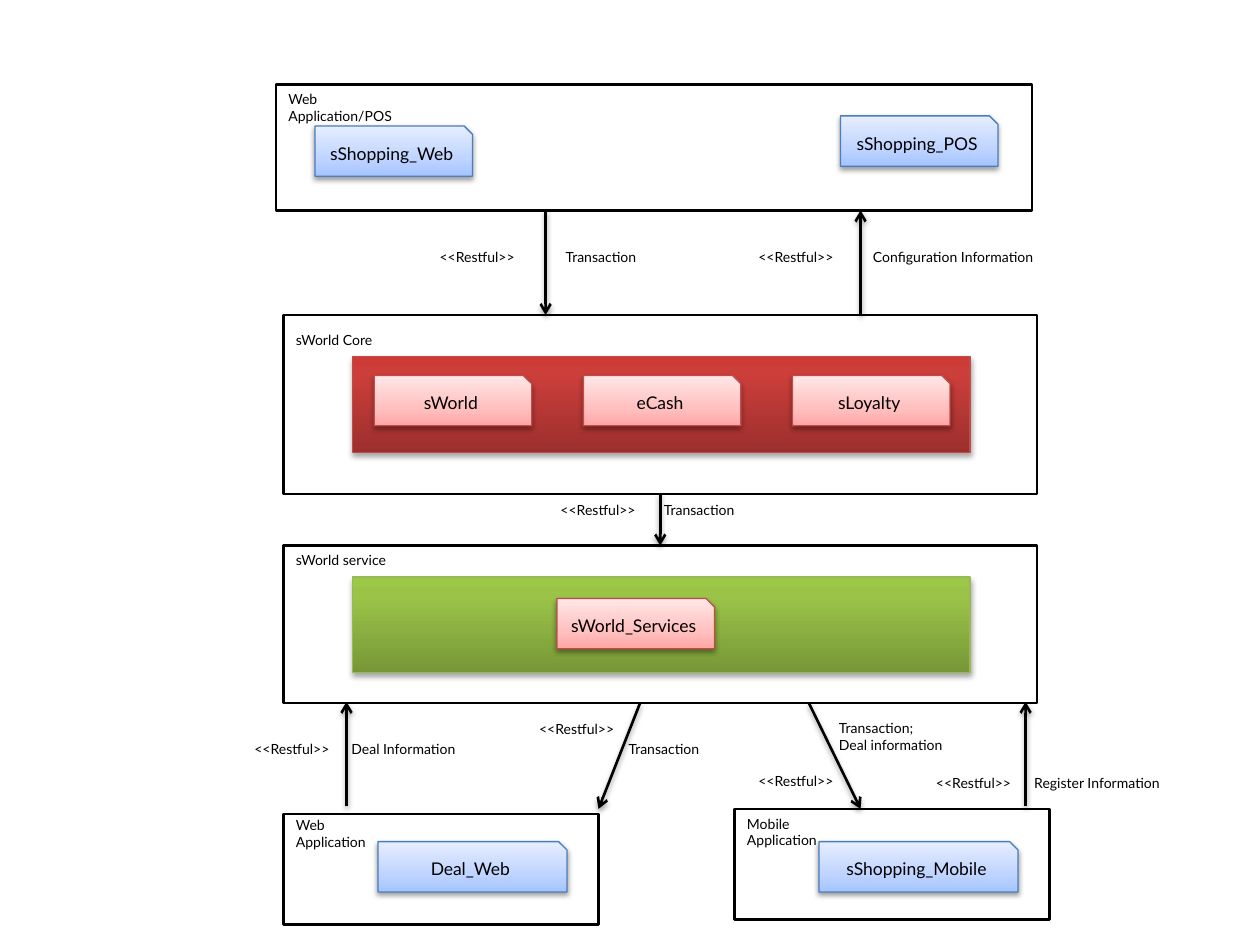
from lxml import etree
from pptx import Presentation
from pptx.dml.color import RGBColor
from pptx.enum.shapes import MSO_CONNECTOR, MSO_SHAPE
from pptx.enum.text import MSO_ANCHOR, PP_ALIGN
from pptx.oxml.ns import qn
from pptx.util import Inches, Pt

COLORS = {"white": "FFFFFF", "black": "000000",
          "blue_line": "4B7EBC", "red_line": "BF4C48", "green_line": "98B955"}
# Gradient stops run from the bottom edge to the top edge: (percent, colour).
STYLES = {
    "blue card": ([(0, "A4C4FF"), (35, "BFD4FF"), (100, "E6EEFF")], "blue_line"),
    "red card": ([(0, "FFA6A5"), (35, "FFC0BF"), (100, "FFE7E7")], "red_line"),
    "red bar": ([(0, "9C2F2D"), (80, "CB3E3A"), (100, "CE3B37")], "red_line"),
    "green bar": ([(0, "779737"), (80, "9BC348"), (100, "9DC746")], "green_line"),
}
FONT = "Lato"
RESTFUL = "<<Restful>>"
CARD_W, CARD_H = 1.25, 0.4
BAR = (0.55, 4.9, 0.76)  # left offset in its tier, width, height
LABEL_H = 0.24


def rgb(name):
    return RGBColor.from_string(COLORS[name])


def add_child(parent, tag, **attributes):
    return etree.SubElement(parent, qn(tag), attributes)


def add_shadow(shape, alpha=38, distance=1.6):
    effects = add_child(shape._element.spPr, "a:effectLst")
    outer = add_child(effects, "a:outerShdw", blurRad=str(Pt(3.1)),
                      dist=str(Pt(distance)), dir="5400000", rotWithShape="0")
    color = add_child(outer, "a:srgbClr", val=COLORS["black"])
    add_child(color, "a:alpha", val=str(alpha * 1000))


def fill_gradient(shape, stops):
    shape.fill.solid()
    solid = shape._element.spPr.find(qn("a:solidFill"))
    gradient = etree.Element(qn("a:gradFill"), rotWithShape="1")
    stop_list = add_child(gradient, "a:gsLst")
    for percent, color in stops:
        stop = add_child(stop_list, "a:gs", pos=str(percent * 1000))
        add_child(stop, "a:srgbClr", val=color)
    add_child(gradient, "a:lin", ang="16200000", scaled="0")
    solid.getparent().replace(solid, gradient)


def add_text(paragraph, text, size):
    run = paragraph.add_run()
    run.text = text
    run.font.name, run.font.size = FONT, Pt(size)
    run.font.color.rgb = rgb("black")


def add_label(slide, left, top, width, *lines):
    box = slide.shapes.add_textbox(Inches(left), Inches(top), Inches(width), Inches(LABEL_H))
    frame = box.text_frame
    frame.word_wrap = True
    for index, line in enumerate(lines):
        paragraph = frame.add_paragraph() if index else frame.paragraphs[0]
        add_text(paragraph, line, 8)


def add_box(slide, preset, box, line, weight):
    shape = slide.shapes.add_shape(preset, *map(Inches, box))
    shape.line.color.rgb = rgb(line)
    shape.line.width = Pt(weight)
    return shape


def add_card(slide, box, text, style):
    stops, line = STYLES[style]
    card = add_box(slide, MSO_SHAPE.SNIP_1_RECTANGLE, box, line, 0.75)
    fill_gradient(card, stops)
    add_shadow(card)
    card.text_frame.vertical_anchor = MSO_ANCHOR.MIDDLE
    paragraph = card.text_frame.paragraphs[0]
    paragraph.alignment = PP_ALIGN.CENTER
    add_text(paragraph, text, 10)


def add_bar(slide, box, style):
    stops, line = STYLES[style]
    bar = add_box(slide, MSO_SHAPE.RECTANGLE, box, line, 0.75)
    fill_gradient(bar, stops)
    add_shadow(bar, alpha=35, distance=1.8)


def add_tier(slide, box, title, title_width, cards, card_style,
             title_top=0.0, bar_style=None, bar_top=0.0):
    """Draw a framed tier; cards are (text, left, top, width) inside the box."""
    left, top = box[:2]
    frame = add_box(slide, MSO_SHAPE.RECTANGLE, box, "black", 1.5)
    frame.fill.solid()
    frame.fill.fore_color.rgb = rgb("white")
    frame.shadow.inherit = False
    if bar_style:
        offset, width, height = BAR
        add_bar(slide, (left + offset, top + bar_top, width, height), bar_style)
    for text, card_left, card_top, width in cards:
        add_card(slide, (left + card_left, top + card_top, width, CARD_H), text, card_style)
    add_label(slide, left, top + title_top, title_width, title)
    return frame


def add_arrow(slide, start, end):
    points = map(Inches, (*start, *end))
    arrow = slide.shapes.add_connector(MSO_CONNECTOR.STRAIGHT, *points)
    arrow.line.color.rgb = rgb("black")
    arrow.line.width = Pt(1.5)
    add_child(arrow.line._get_or_add_ln(), "a:tailEnd", type="arrow")
    add_shadow(arrow)
    return arrow


def add_flow(slide, start, end, restful_at, label_at, label_width, *label):
    """Draw an arrow with its protocol tag and the data it carries."""
    arrow = add_arrow(slide, start, end)
    add_label(slide, *restful_at, 0.9, RESTFUL)
    add_label(slide, *label_at, label_width, *label)
    return arrow


def add_tiers(slide):
    """Draw the five tiers and return the core and service frames."""
    add_tier(slide, (2.19, 0.67, 6, 1), "Web Application/POS", 1.25,
             [("sShopping_Web", 0.31, 0.33, CARD_W), ("sShopping_POS", 4.48, 0.25, CARD_W)],
             "blue card")
    modules = [(name, 0.72 + 1.66 * column, 0.48, CARD_W)
               for column, name in enumerate(("sWorld", "eCash", "sLoyalty"))]
    core = add_tier(slide, (2.25, 2.5, 5.98, 1.42), "sWorld Core", 1, modules, "red card",
                    title_top=0.08, bar_style="red bar", bar_top=0.33)
    service = add_tier(slide, (2.25, 4.33, 5.98, 1.25), "sWorld service", 1,
                       [("sWorld_Services", 2.17, 0.42, CARD_W)], "red card",
                       bar_style="green bar", bar_top=0.25)
    add_tier(slide, (2.25, 6.46, 2.5, 0.88), "Web Application", 1,
             [("Deal_Web", 0.75, 0.22, 1.5)], "blue card", title_top=-0.03)
    add_tier(slide, (5.83, 6.42, 2.5, 0.88), "Mobile Application", 1.1,
             [("sShopping_Mobile", 0.67, 0.26, 1.58)], "blue card")
    return core, service


def add_flows(slide, core, service):
    add_flow(slide, (4.33, 1.67), (4.33, 2.5), (3.39, 1.92), (4.39, 1.92), 0.8, "Transaction")
    add_flow(slide, (6.83, 2.5), (6.83, 1.67), (5.92, 1.92), (6.83, 1.92), 1.55,
             "Configuration Information")
    link = add_flow(slide, (5.24, 3.92), (5.24, 4.33), (4.35, 3.93), (5.17, 3.93), 0.8,
                    "Transaction")
    link.begin_connect(core, 2)
    link.end_connect(service, 0)
    add_flow(slide, (2.75, 6.4), (2.75, 5.57), (1.92, 5.83), (2.69, 5.83), 1.1,
             "Deal Information")
    add_flow(slide, (5.08, 5.58), (4.75, 6.42), (4.18, 5.67), (4.89, 5.83), 0.8, "Transaction")
    add_flow(slide, (6.42, 5.58), (6.83, 6.42), (5.92, 6.08), (6.56, 5.66), 1.1,
             "Transaction;", "Deal information")
    add_flow(slide, (8.14, 6.4), (8.14, 5.57), (7.33, 6.1), (8.11, 6.1), 1.3,
             "Register Information")


def main():
    presentation = Presentation()
    presentation.slide_width, presentation.slide_height = Inches(10), Inches(7.5)
    slide = presentation.slides.add_slide(presentation.slide_layouts[6])
    core, service = add_tiers(slide)
    add_flows(slide, core, service)
    presentation.save("out.pptx")


if __name__ == "__main__":
    main()
